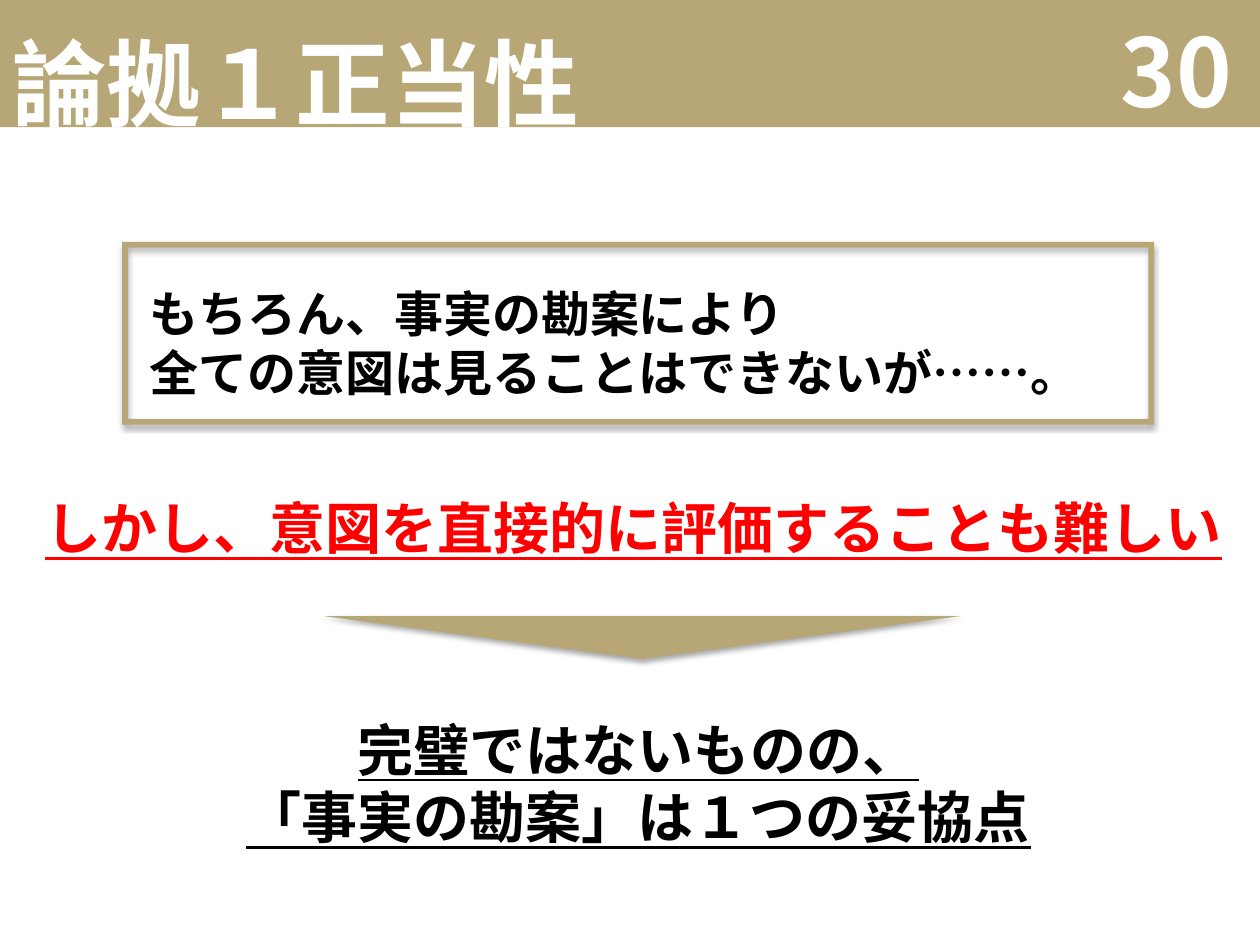
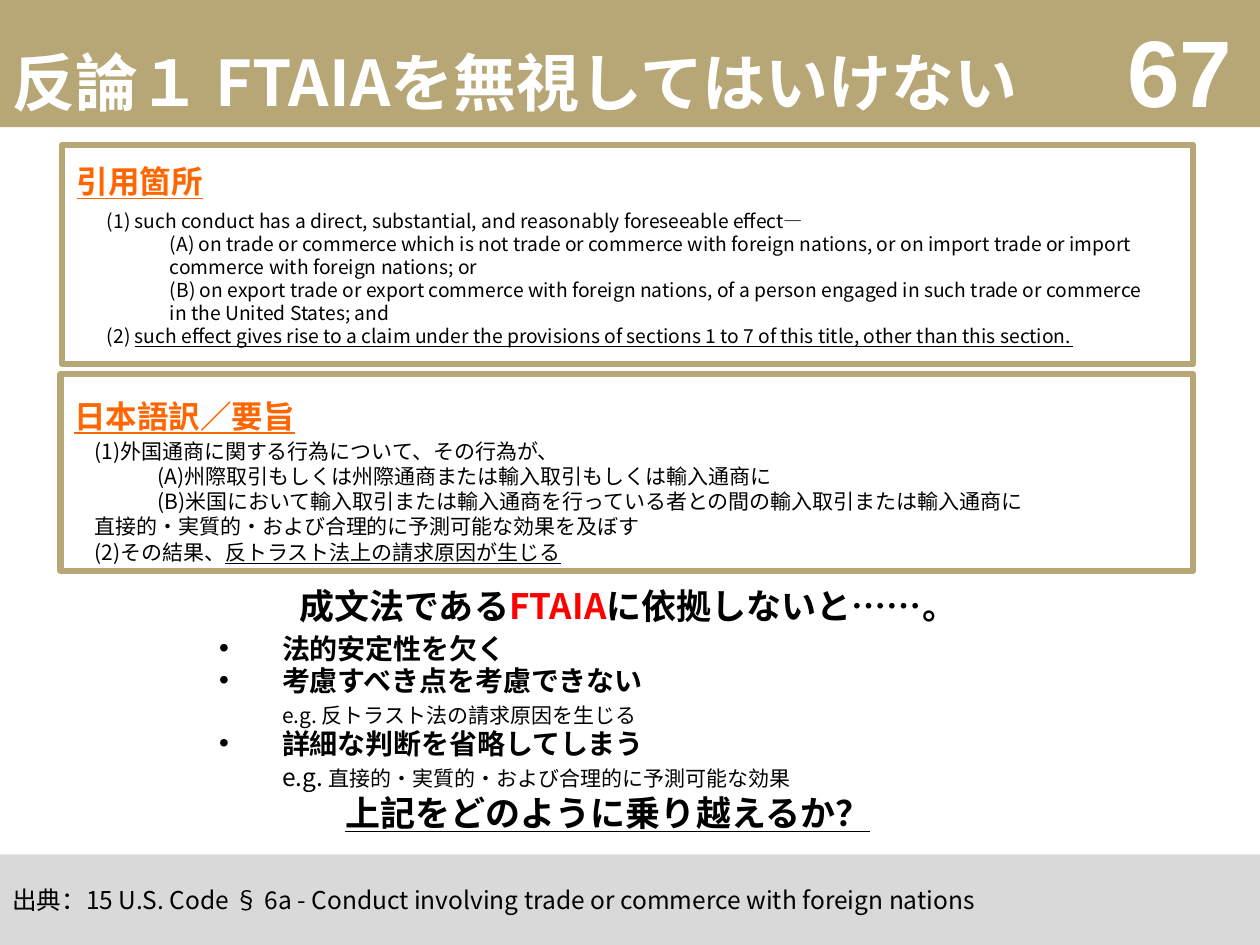
from lxml import etree
from pptx import Presentation
from pptx import util as u
from pptx.dml.color import RGBColor
from pptx.enum import shapes, text
from pptx.oxml import ns

COLORS = {
    "gold": "B8A776",
    "white": "FFFFFF",
    "black": "000000",
    "red": "FF0000",
    "orange": "FF6600",
    "gray": "D9D9D9",
}
FONT = "Noto Sans CJK JP"
LINE_HEIGHT = 1.2
LEFT, CENTER, RIGHT = text.PP_ALIGN.LEFT, text.PP_ALIGN.CENTER, text.PP_ALIGN.RIGHT


def rgb(name):
    return RGBColor.from_string(COLORS[name])


def add_element(parent, tag, **attributes):
    element = etree.SubElement(parent, ns.qn(tag))
    for key, value in attributes.items():
        element.set(key, str(value))
    return element


def add_run(paragraph, content, size=12, font=FONT, color="black", bold=False, underline=False):
    """Add formatted text; a newline becomes a line break."""
    for index, line in enumerate(content.split("\n")):
        if index:
            paragraph.add_line_break()
        if not line:
            continue
        run = paragraph.add_run()
        run.text = line
        run.font.size = u.Pt(size)
        run.font.name = font
        run.font.bold = bold
        run.font.underline = underline
        run.font.color.rgb = rgb(color)
        add_element(run.font._element, "a:ea", typeface=FONT)


def write(shape, paragraphs, align=LEFT, anchor=text.MSO_ANCHOR.TOP, leading=None, **style):
    """Each paragraph is a string, or a dict with runs and its own settings."""
    frame = shape.text_frame
    frame.word_wrap = True
    frame.vertical_anchor = anchor
    for index, item in enumerate(paragraphs):
        if isinstance(item, str):
            item = {"runs": [(item, {})]}
        paragraph = frame.add_paragraph() if index else frame.paragraphs[0]
        paragraph.alignment = item.get("align", align)
        runs = [(content, {**style, **changes}) for content, changes in item["runs"]]
        largest = max(settings.get("size", 12) for _, settings in runs)
        paragraph.line_spacing = u.Pt(item.get("leading", leading) or largest * LINE_HEIGHT)
        properties = paragraph._p.get_or_add_pPr()
        if item.get("bullet"):
            properties.set("marL", str(u.Inches(0.5)))
            properties.set("indent", str(u.Inches(-0.5)))
            add_element(properties, "a:buFont", typeface="Arial")
            add_element(properties, "a:buChar", char="•")
        elif item.get("indent"):
            paragraph.level = 1
            properties.set("marL", str(u.Inches(0.5)))
            properties.set("indent", "0")
        for content, settings in runs:
            add_run(paragraph, content, **settings)


def indented(content):
    return {"indent": True, "runs": [(content, {})]}


def bulleted(*runs):
    return {"bullet": True, "runs": runs}


class Deck:
    def __init__(self):
        self.presentation = Presentation()
        self.presentation.slide_width = u.Inches(10)
        self.presentation.slide_height = u.Inches(7.5)
        self.slide = None

    def new_slide(self, title, number, title_style, number_font=FONT):
        self.slide = self.presentation.slides.add_slide(self.presentation.slide_layouts[6])
        self.shape((0, 0, 10, 1.01), fill="gold")
        header = dict(anchor=text.MSO_ANCHOR.MIDDLE, color="white", bold=True)
        self.text((0, 0.02, 11.06, 1.25), [title], **header, **title_style)
        self.text((7.55, 0.35, 2.33, 0.4), [number], align=RIGHT, size=54,
                  font=number_font, **header)

    def shape(self, box, kind=shapes.MSO_SHAPE.RECTANGLE, fill=None, line=None, shadow=False):
        shape = self.slide.shapes.add_shape(kind, *map(u.Inches, box))
        shape.shadow.inherit = False
        if fill:
            shape.fill.solid()
            shape.fill.fore_color.rgb = rgb(fill)
        else:
            shape.fill.background()
        if line:
            shape.line.color.rgb = rgb(line)
            shape.line.width = u.Pt(3.5)
        else:
            shape.line.fill.background()
        if shadow:
            self.drop_shadow(shape)
        return shape

    def drop_shadow(self, shape):
        effects = shape._element.spPr.find(ns.qn("a:effectLst"))
        outer = add_element(effects, "a:outerShdw", blurRad=u.Pt(3.1), dist=u.Pt(1.8),
                            dir=90 * 60000, rotWithShape=0)
        color = add_element(outer, "a:srgbClr", val=COLORS["black"])
        add_element(color, "a:alpha", val=35000)

    def text(self, box, paragraphs, **style):
        write(self.slide.shapes.add_textbox(*map(u.Inches, box)), paragraphs, **style)

    def heading(self, box, content):
        self.text(box, [content], size=18, color="orange", bold=True, underline=True)

    def source_bar(self, content):
        bar = self.shape((0, 6.78, 10, 0.72), fill="gray")
        write(bar, [content], size=14, anchor=text.MSO_ANCHOR.MIDDLE)


def build_legitimacy(deck):
    deck.new_slide("論拠１正当性", "30", dict(size=54, font="Karla"))

    # Conclusion in two steps
    deck.text((0.26, 3.87, 9.63, 0.64), ["しかし、意図を直接的に評価することも難しい"],
              size=32, color="red", bold=True, underline=True)
    deck.text((0.67, 5.63, 8.79, 1.18),
              ["完璧ではないものの、", "「事実の勘案」は１つの妥協点"],
              align=CENTER, size=32, bold=True, underline=True)

    # Framed concession
    deck.text((1.09, 2.2, 7.96, 0.83),
              ["もちろん、事実の勘案により", "全ての意図は見ることはできないが……。"],
              size=28, bold=True)
    frame = deck.shape((0.97, 1.92, 8.19, 1.45), shapes.MSO_SHAPE.FRAME, "gold", shadow=True)
    frame.adjustments[0] = 0.032

    # Downward pointer
    pointer = deck.shape((2.57, 4.89, 5.05, 0.34), shapes.MSO_SHAPE.ISOSCELES_TRIANGLE,
                         "gold", shadow=True)
    pointer.rotation = 180


def build_counterargument(deck):
    deck.new_slide("反論１ FTAIAを無視してはいけない", "67", dict(size=36), number_font="Arial")

    # Outlined panels and their headings
    deck.shape((0.49, 1.15, 8.98, 1.74), line="gold")
    deck.shape((0.48, 2.97, 8.99, 1.56), line="gold")
    deck.heading((0.49, 3.1, 8.68, 0.4), "日本語訳／要旨")
    deck.heading((0.51, 1.24, 8.68, 0.4), "引用箇所")

    # Consequences
    small = dict(size=12, bold=False)
    deck.text((1.64, 4.98, 6.37, 1.68), [
        bulleted(("法的安定性を欠く", {})),
        bulleted(("考慮すべき点を考慮できない\n", {}),
                 ("e.g. 反トラスト法の請求原因を生じる", small)),
        bulleted(("詳細な判断を省略してしまう\n", {}),
                 ("e.g. ", dict(size=14, bold=False)),
                 ("直接的・実質的・および合理的に予測可能な効果", small)),
        {"align": CENTER, "leading": 24,
         "runs": [("上記をどのように乗り越えるか？", dict(size=20, underline=True))]},
    ], size=16, bold=True, leading=18)

    deck.source_bar("出典：15 U.S. Code § 6a - Conduct involving trade or commerce "
                    "with foreign nations")

    # Statute text
    underlined = dict(underline=True)
    deck.text((0.75, 1.61, 8.46, 1.21), [
        "(1) such conduct has a direct, substantial, and reasonably foreseeable effect―",
        indented("(A) on trade or commerce which is not trade or commerce with foreign "
                 "nations, or on import trade or import commerce with foreign nations; or"),
        indented("(B) on export trade or export commerce with foreign nations, of a person "
                 "engaged in such trade or commerce in the United States; and"),
        {"runs": [("(2) ", {}),
                  ("such effect gives rise to a claim under the provisions of sections "
                   "1 to 7 of this title, other than this section.", underlined)]},
    ], size=11)

    # Japanese summary
    deck.text((0.65, 3.43, 8.69, 1.11), [
        "(1)外国通商に関する行為について、その行為が、",
        indented("(A)州際取引もしくは州際通商または輸入取引もしくは輸入通商に"),
        indented("(B)米国において輸入取引または輸入通商を行っている者との間の"
                 "輸入取引または輸入通商に"),
        "直接的・実質的・および合理的に予測可能な効果を及ぼす",
        {"runs": [("(2)その結果、", {}), ("反トラスト法上の請求原因が生じる", underlined)]},
    ], size=12)

    # Lead-in to the consequences
    deck.text((2.19, 4.59, 5.59, 0.44), [
        {"runs": [("成文法である", {}), ("FTAIA", dict(color="red")),
                  ("に依拠しないと……。", {})]},
    ], align=CENTER, size=20, bold=True)


def main():
    deck = Deck()
    build_legitimacy(deck)
    build_counterargument(deck)
    deck.presentation.save("out.pptx")


if __name__ == "__main__":
    main()
